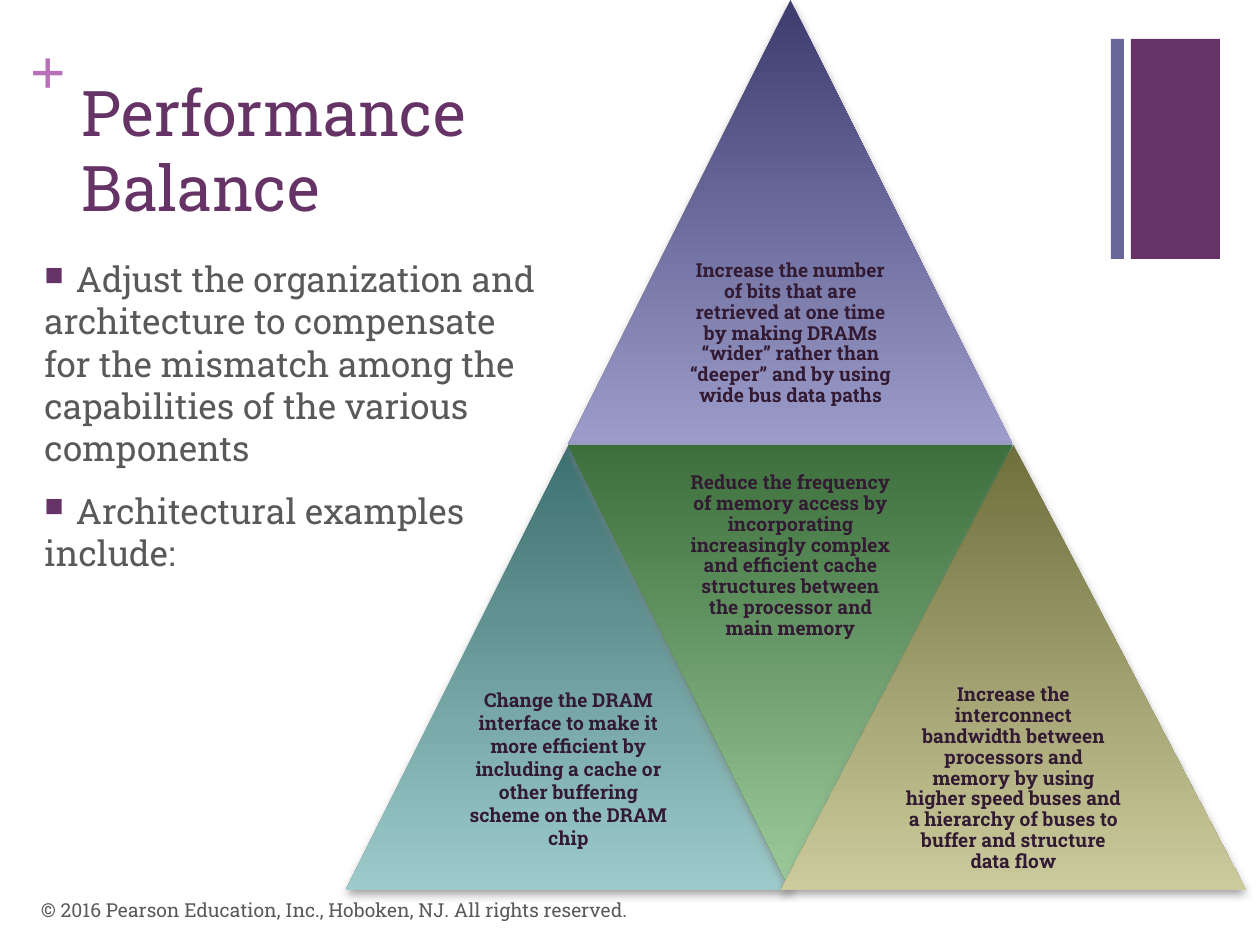
"""Build the Performance Balance slide with its four-triangle pyramid."""
import pptx
import pptx.dml.color
import pptx.enum.shapes
import pptx.enum.text
import pptx.oxml
import pptx.oxml.ns
import pptx.util

PX = 914400 // 126
FONT = "Roboto Slab"
PURPLE, GREY, DARK = "663366", "595959", "331A33"
ANCHOR = pptx.enum.text.MSO_ANCHOR
CENTER = pptx.enum.text.PP_ALIGN.CENTER
SHAPE = pptx.enum.shapes.MSO_SHAPE
NS = pptx.oxml.ns.nsdecls("a")

BARS = [((1131, 39, 89, 220), PURPLE), ((1111, 39, 13, 220), "666699")]
TITLE = "Performance\vBalance"
BULLETS = [
    ["Adjust the organization and", "architecture to compensate",
     "for the mismatch among the", "capabilities of the various", "components"],
    ["Architectural examples", "include:"],
]
FOOTER = "© 2016 Pearson Education, Inc., Hoboken, NJ. All rights reserved."

SIDE = 445
TRIANGLES = [
    dict(at=(568, 0, SIDE), colors=("3C3C6F", "9D9DCB"),
         text="Increase the number of bits that are retrieved at one time by making "
              "DRAMs “wider” rather than “deeper” and by using wide bus data paths"),
    dict(at=(346, SIDE, SIDE), colors=("3C6F6F", "9DCBCB"), spacing=1.0, bottom=26,
         text="Change the DRAM interface to make it more efficient by including a "
              "cache or other buffering scheme on the DRAM chip"),
    dict(at=(568, SIDE, SIDE), colors=("3C6F3C", "9DCB9D"), inverted=True,
         text="Reduce the frequency of memory access by incorporating increasingly "
              "complex and efficient cache structures between the processor and main memory"),
    dict(at=(781, SIDE, 465), colors=("6F6F3C", "CBCB9D"),
         text="Increase the interconnect bandwidth between processors and memory by "
              "using higher speed buses and a hierarchy of buses to buffer and structure data flow"),
]


def rgb(value):
    return pptx.dml.color.RGBColor.from_string(value)


def emu(box):
    return [round(v * PX) for v in box]


def add_shape(s, kind, box):
    sp = s.shapes.add_shape(kind, *emu(box))
    sp.shadow.inherit = False
    sp.line.fill.background()
    return sp


def add_text(s, box, lines, size, color, font=FONT, bold=False,
             anchor=ANCHOR.TOP, insets=(13, 6, 13, 6)):
    tf = s.shapes.add_textbox(*emu(box)).text_frame
    tf.word_wrap = True
    tf.vertical_anchor = anchor
    tf.margin_left, tf.margin_top, tf.margin_right, tf.margin_bottom = emu(insets)
    tf.text = "\n".join(lines)
    for p in tf.paragraphs:
        for r in p.runs:
            r.font.name, r.font.size, r.font.bold = font, pptx.util.Pt(size), bold
            r.font.color.rgb = rgb(color)
    return tf


def add_bullet(p):
    for xml in (f'<a:buClr {NS}><a:srgbClr val="{PURPLE}"/></a:buClr>',
                f'<a:buSzPct {NS} val="75000"/>',
                f'<a:buChar {NS} char="■"/>'):
        p._p.get_or_add_pPr().append(pptx.oxml.parse_xml(xml))


def add_triangle(s, at, colors, text, spacing=0.9, bottom=6, inverted=False):
    x, y, w = at
    sp = add_shape(s, SHAPE.ISOSCELES_TRIANGLE, (x, y, w, SIDE))
    sp.rotation = 180 if inverted else 0
    sp.fill.gradient()
    sp.fill.gradient_angle = 270
    for stop, color in zip(sp.fill.gradient_stops, colors):
        stop.color.rgb = rgb(color)
    props = sp._element.spPr
    props.find(pptx.oxml.ns.qn("a:gradFill")).set("rotWithShape", "0")
    props.find(pptx.oxml.ns.qn("a:effectLst")).append(pptx.oxml.parse_xml(
        f'<a:outerShdw {NS} blurRad="63500" dist="25400" dir="5400000" rotWithShape="0">'
        '<a:srgbClr val="808080"><a:alpha val="75000"/></a:srgbClr></a:outerShdw>'))
    top = y if inverted else y + SIDE / 2
    tf = add_text(s, (x + w / 4, top, w / 2, SIDE / 2), [text], 11, DARK, bold=True,
                  anchor=ANCHOR.MIDDLE, insets=(6, 6, 6, bottom))
    tf.paragraphs[0].alignment = CENTER
    tf.paragraphs[0].line_spacing = spacing


def add_bullets(s):
    lines = [line for item in BULLETS for line in item]
    starts = [item[0] for item in BULLETS]
    tf = add_text(s, (0, 252, 608, 379), lines, 20, GREY)
    for i, (p, line) in enumerate(zip(tf.paragraphs, lines)):
        pPr = p._p.get_or_add_pPr()
        pPr.set("marL", "457200")
        pPr.set("indent", "-228600")
        if line in starts:
            add_bullet(p)
            if i:
                p.space_before = pptx.util.Pt(12)


def main():
    prs = pptx.Presentation()
    prs.slide_width, prs.slide_height = emu((1260, 945))
    s = prs.slides.add_slide(prs.slide_layouts[6])
    for box, color in BARS:
        sp = add_shape(s, SHAPE.RECTANGLE, box)
        sp.fill.solid()
        sp.fill.fore_color.rgb = rgb(color)
    add_text(s, (30, 32, 37, 77), ["+"], 36, "B870B8", font="Times New Roman",
             bold=True, insets=(0, 0, 0, 0))
    add_text(s, (69, 67, 655, 185), [TITLE], 36, PURPLE)
    for triangle in TRIANGLES:
        add_triangle(s, **triangle)
    add_bullets(s)
    add_text(s, (28, 885, 844, 50), [FOOTER], 11, GREY, anchor=ANCHOR.MIDDLE)
    prs.save("out.pptx")


if __name__ == "__main__":
    main()
